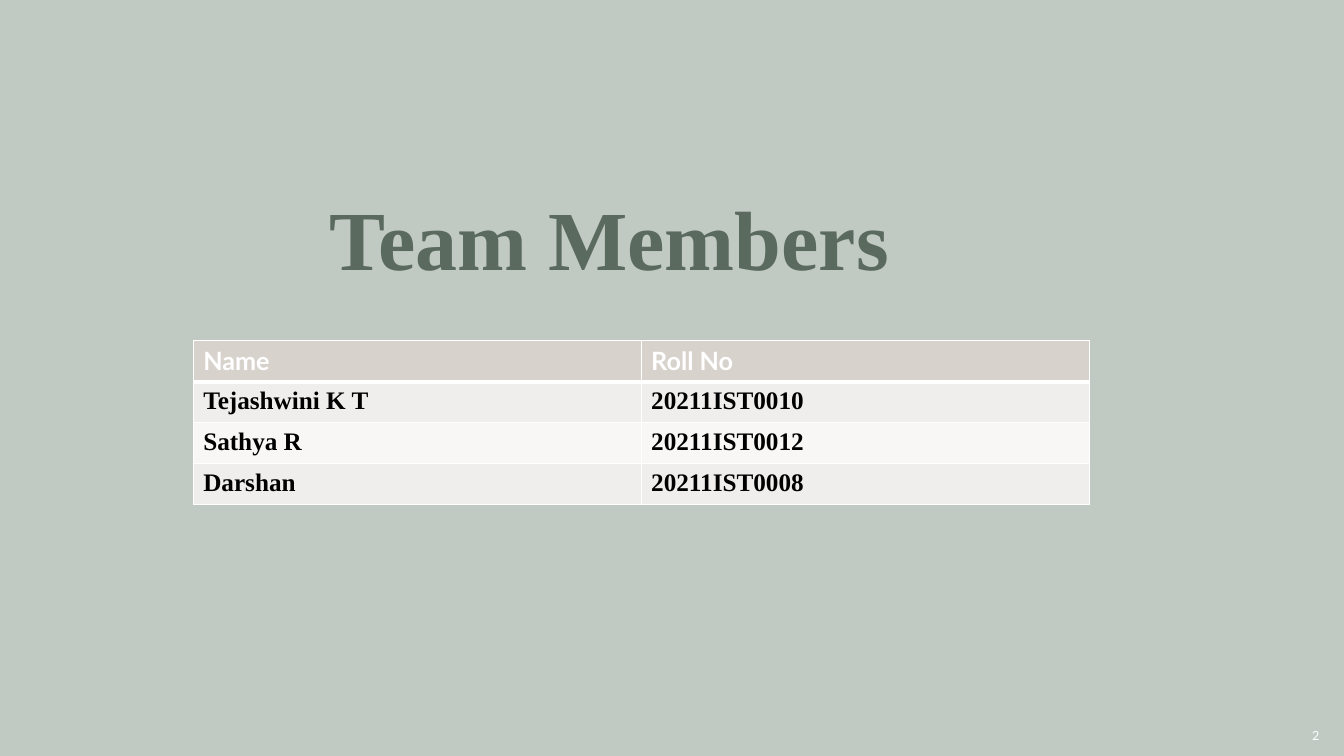
"""Build the team members slide with its roll number table."""
from lxml import etree
from pptx import Presentation
from pptx.dml.color import RGBColor
from pptx.enum.text import MSO_ANCHOR, PP_ALIGN
from pptx.oxml.ns import qn
from pptx.util import Pt

LEFT, RIGHT = PP_ALIGN.LEFT, PP_ALIGN.RIGHT
MIDDLE = MSO_ANCHOR.MIDDLE
SAGE = RGBColor(0xC0, 0xC9, 0xC2)
GREEN = RGBColor(0x5B, 0x6A, 0x5E)
SAND = RGBColor(0xD8, 0xD2, 0xCD)
BANDS = RGBColor(0xF0, 0xEE, 0xED), RGBColor(0xF8, 0xF7, 0xF6)
WHITE = RGBColor(0xFF, 0xFF, 0xFF)
BLACK = RGBColor(0x00, 0x00, 0x00)
SERIF, SANS = "Times New Roman", "Lato"
TITLE_ONLY = 5
MEMBERS = [
    ("Name", "Roll No"),
    ("Tejashwini K T", "20211IST0010"),
    ("Sathya R", "20211IST0012"),
    ("Darshan", "20211IST0008"),
]


class SlideBuilder:
    def __init__(self, deck):
        self.page = deck.slides.add_slide(deck.slide_layouts[TITLE_ONLY])
        self.page.background.fill.solid()
        self.page.background.fill.fore_color.rgb = SAGE

    def set_text(self, frame, text, font, size, color, bold=False, align=LEFT):
        frame.text = text
        para = frame.paragraphs[0]
        para.alignment = align
        span = para.runs[0].font
        span.name, span.size, span.bold = font, Pt(size), bold
        span.color.rgb = color
        return para

    def title(self, text, left, top, width, height):
        box = self.page.shapes.title
        box.left, box.top, box.width, box.height = map(Pt, (left, top, width, height))
        box.text_frame.vertical_anchor = MIDDLE
        self.set_text(box.text_frame, text, SERIF, 60, GREEN, True).line_spacing = 0.9

    def page_number(self, number, left, top, width, height):
        box = self.page.shapes.add_textbox(*map(Pt, (left, top, width, height)))
        box.text_frame.word_wrap = True
        box.text_frame.vertical_anchor = MIDDLE
        self.set_text(box.text_frame, number, SANS, 9, WHITE, align=RIGHT)

    def borders(self, cell, top, bottom):
        properties = cell._tc.get_or_add_tcPr()
        widths = {"a:lnL": 1, "a:lnR": 1, "a:lnT": top, "a:lnB": bottom}
        for tag, width in widths.items():
            line = etree.SubElement(properties, qn(tag), w=str(Pt(width)))
            fill = etree.SubElement(line, qn("a:solidFill"))
            etree.SubElement(fill, qn("a:srgbClr"), val=str(WHITE))

    def table(self, rows, left, top, width, row_height):
        size = Pt(left), Pt(top), Pt(width), Pt(row_height * len(rows))
        table = self.page.shapes.add_table(len(rows), len(rows[0]), *size).table
        for index, texts in enumerate(rows):
            header = index == 0
            font, color = (SANS, WHITE) if header else (SERIF, BLACK)
            for column, text in enumerate(texts):
                cell = table.cell(index, column)
                self.borders(cell, 3 if index == 1 else 1, 3 if header else 1)
                cell.fill.solid()
                cell.fill.fore_color.rgb = SAND if header else BANDS[(index - 1) % 2]
                self.set_text(cell.text_frame, text, font, 18, color, True)


def main():
    deck = Presentation()
    deck.slide_width, deck.slide_height = Pt(960), Pt(540)
    slide = SlideBuilder(deck)
    slide.title("Team Members", 228.5, 134.5, 708, 79)
    slide.page_number("2", 733.5, 510.5, 216, 29)
    slide.table(MEMBERS, 138, 243.5, 640, 29.2)
    deck.save("out.pptx")


if __name__ == "__main__":
    main()
